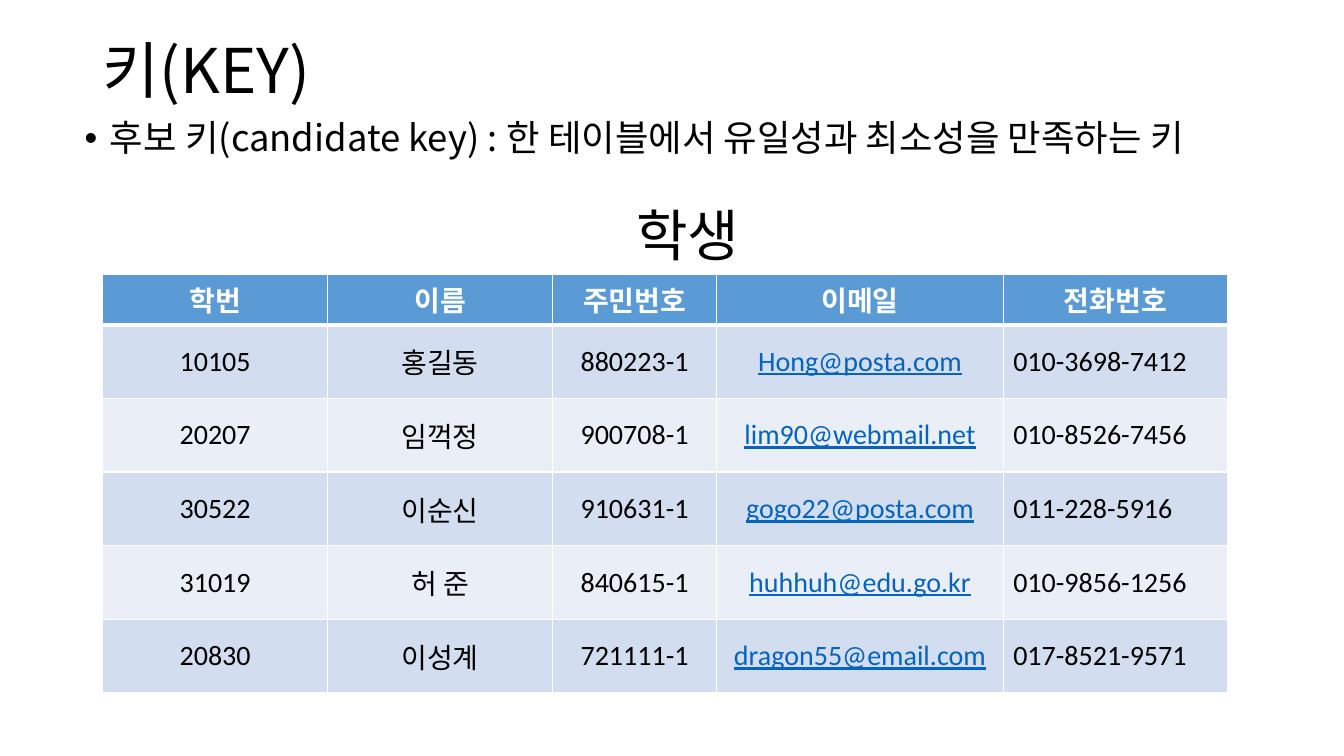
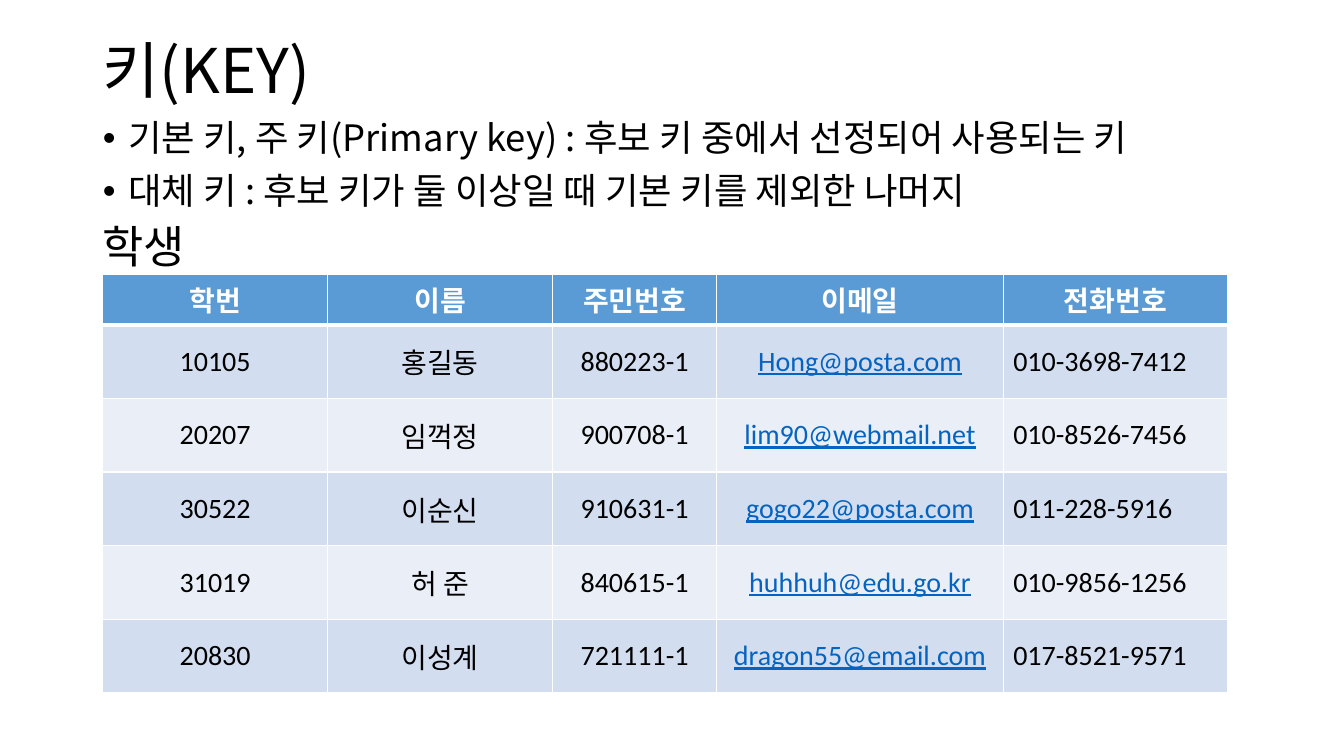
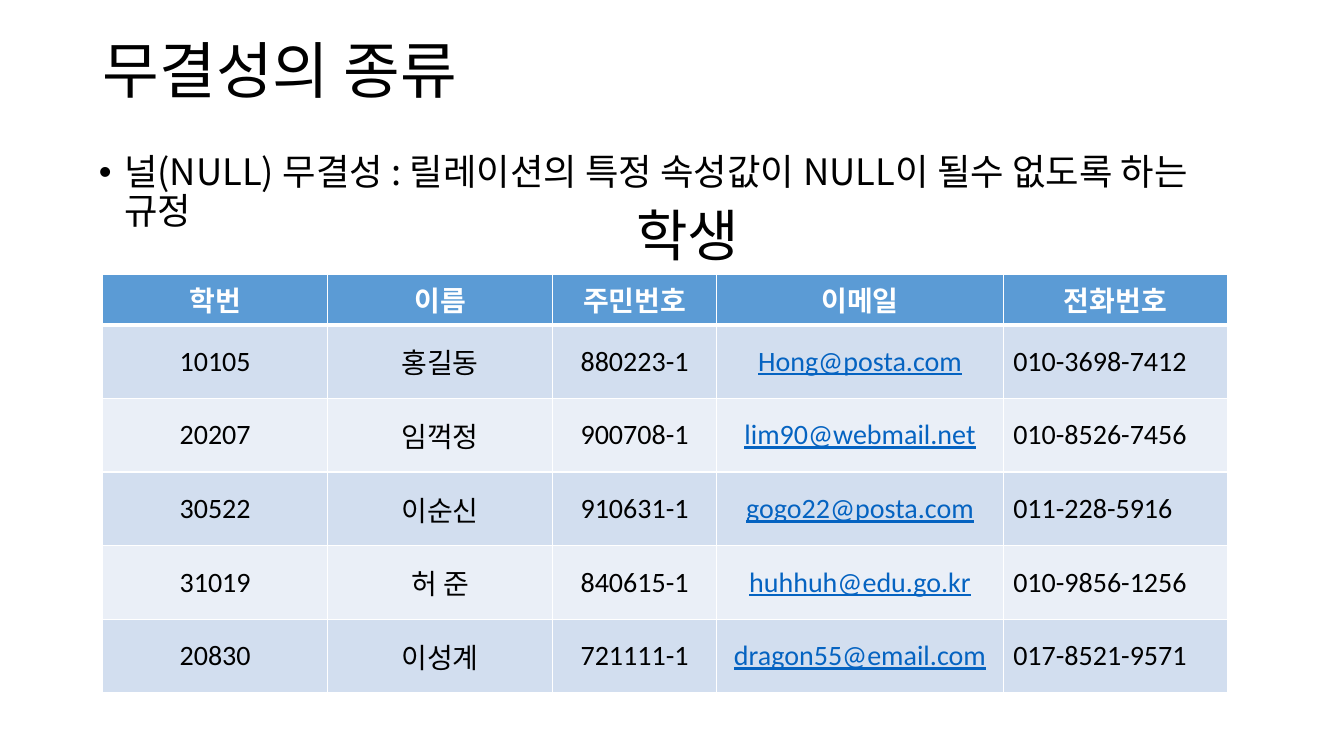
from lxml import etree
from pptx import Presentation
from pptx.dml.color import RGBColor
from pptx.enum.text import MSO_ANCHOR, MSO_AUTO_SIZE, PP_ALIGN
from pptx.oxml.ns import qn
from pptx.util import Inches, Pt

LEFT, CENTER = PP_ALIGN.LEFT, PP_ALIGN.CENTER
TOP, MIDDLE = MSO_ANCHOR.TOP, MSO_ANCHOR.MIDDLE
NO_FIT, GROW = MSO_AUTO_SIZE.NONE, MSO_AUTO_SIZE.SHAPE_TO_FIT_TEXT

COLORS = {
    "text": "000000",
    "white": "FFFFFF",
    "link": "0563C1",
    "header": "5B9BD5",
    "odd": "D2DEEF",
    "even": "EAEFF7",
}
KOREAN, LATIN = "Noto Sans CJK KR", "Calibri"

TITLE_BOX = (0.92, 0, 11.5, 1.45)
TABLE_BOX = (1.02, 2.72, 11.16, 4.09)
COLUMN_WIDTHS = (2.23, 2.23, 1.63, 2.84, 2.23)
ROW_HEIGHT = 0.73
LINK_COLUMN, PHONE_COLUMN = 3, 4
STUDENTS = (
    ("학번", "이름", "주민번호", "이메일", "전화번호"),
    ("10105", "홍길동", "880223-1", "Hong@posta.com", "010-3698-7412"),
    ("20207", "임꺽정", "900708-1", "lim90@webmail.net", "010-8526-7456"),
    ("30522", "이순신", "910631-1", "gogo22@posta.com", "011-228-5916"),
    ("31019", "허 준", "840615-1", "huhhuh@edu.go.kr", "010-9856-1256"),
    ("20830", "이성계", "721111-1", "dragon55@email.com", "017-8521-9571"),
)

PAGES = (
    {
        "title": "키(KEY)",
        "bullets": ("후보 키(candidate key) : 한 테이블에서 유일성과 최소성을 만족하는 키",),
        "body_box": (0.74, 1.14, 12.42, 4.76),
        "caption_box": (6.21, 1.94, 1.65, 0.77),
        "caption_size": 40,
    },
    {
        "title": "키(KEY)",
        "bullets": (
            "기본 키, 주 키(Primary key) : 후보 키 중에서 선정되어 사용되는 키",
            "대체 키 : 후보 키가 둘 이상일 때 기본 키를 제외한 나머지",
        ),
        "body_box": (0.92, 1.14, 11.5, 4.76),
        "caption_box": (0.92, 2.12, 1.1, 0.64),
        "caption_size": 32,
    },
    {
        "title": "무결성의 종류",
        "bullets": ("널(NULL) 무결성 : 릴레이션의 특정 속성값이 NULL이 될수 없도록 하는 규정",),
        "body_box": (0.88, 1.48, 11.5, 4.76),
        "caption_box": (6.21, 1.94, 1.65, 0.77),
        "caption_size": 40,
    },
)


def place(shape, box):
    """Move and size a shape to a box in inches."""
    shape.left, shape.top, shape.width, shape.height = map(Inches, box)


def write(para, text, size, font=KOREAN, color="text", align=LEFT, bold=False, underline=False):
    """Write one formatted run into a paragraph."""
    para.alignment = align
    span = para.add_run()
    span.text = text
    span.font.size = Pt(size)
    span.font.name = font
    span.font.bold = bold
    span.font.underline = underline
    span.font.color.rgb = RGBColor.from_string(COLORS[color])
    latin = span.font._element.find(qn("a:latin"))
    east_asian = etree.Element(qn("a:ea"), typeface=KOREAN)
    latin.addnext(east_asian)


def add_title(page, text):
    """Fill the title placeholder."""
    title = page.shapes.title
    place(title, TITLE_BOX)
    frame = title.text_frame
    frame.auto_size = NO_FIT
    frame.vertical_anchor = MIDDLE
    para = frame.paragraphs[0]
    para.line_spacing = 0.9
    write(para, text, 44)


def add_bullets(page, box, bullets):
    """Fill the body placeholder with a bulleted list."""
    body = page.placeholders[1]
    place(body, box)
    frame = body.text_frame
    frame.auto_size = NO_FIT
    frame.vertical_anchor = TOP
    for index, text in enumerate(bullets):
        para = frame.add_paragraph() if index else frame.paragraphs[0]
        para.line_spacing = 0.9
        para.space_before = Pt(10)
        write(para, text, 26)
        properties = para._p.get_or_add_pPr()
        properties.set("marL", str(Inches(0.25)))
        properties.set("indent", str(-Inches(0.25)))
        etree.SubElement(properties, qn("a:buFont"), typeface="Arial")
        etree.SubElement(properties, qn("a:buChar"), char="•")


def add_borders(cell, bottom_width=1, top_width=1):
    """Draw white borders around a cell, with widths in points."""
    properties = cell._tc.get_or_add_tcPr()
    widths = {"lnL": 1, "lnR": 1, "lnT": top_width, "lnB": bottom_width}
    for side, width in widths.items():
        line = etree.SubElement(properties, qn(f"a:{side}"), w=str(Pt(width)))
        fill = etree.SubElement(line, qn("a:solidFill"))
        etree.SubElement(fill, qn("a:srgbClr"), val=COLORS["white"])


def fill_cell(cell, text, row, column):
    """Format one cell by its row and column."""
    is_header = row == 0
    is_link = column == LINK_COLUMN and not is_header
    add_borders(cell, bottom_width=3 if is_header else 1, top_width=3 if row == 1 else 1)
    band = "header" if is_header else ("even", "odd")[row % 2]
    cell.fill.solid()
    cell.fill.fore_color.rgb = RGBColor.from_string(COLORS[band])
    cell.vertical_anchor = TOP if is_header else MIDDLE
    write(
        cell.text_frame.paragraphs[0],
        text,
        20,
        font=LATIN,
        color="white" if is_header else "link" if is_link else "text",
        align=LEFT if column == PHONE_COLUMN and not is_header else CENTER,
        bold=is_header,
        underline=is_link,
    )


def add_student_table(page, box):
    """Add the student table inside a box."""
    table = page.shapes.add_table(len(STUDENTS), len(COLUMN_WIDTHS), *map(Inches, box)).table
    for column, width in zip(table.columns, COLUMN_WIDTHS):
        column.width = Inches(width)
    header_height = box[3] - ROW_HEIGHT * (len(STUDENTS) - 1)
    for row, values in enumerate(STUDENTS):
        table.rows[row].height = Inches(ROW_HEIGHT if row else header_height)
        for column, text in enumerate(values):
            fill_cell(table.cell(row, column), text, row, column)


def add_caption(page, box, size):
    """Add the table name above the table."""
    frame = page.shapes.add_textbox(*map(Inches, box)).text_frame
    frame.word_wrap = True
    frame.auto_size = GROW
    write(frame.paragraphs[0], "학생", size)


def add_page(deck, content):
    """Add one slide with title, list, table and caption."""
    page = deck.slides.add_slide(deck.slide_layouts[1])
    add_title(page, content["title"])
    add_bullets(page, content["body_box"], content["bullets"])
    add_student_table(page, TABLE_BOX)
    add_caption(page, content["caption_box"], content["caption_size"])


def main():
    """Build and save the deck."""
    deck = Presentation()
    deck.slide_width, deck.slide_height = Inches(13.33), Inches(7.5)
    for content in PAGES:
        add_page(deck, content)
    deck.save("out.pptx")


if __name__ == "__main__":
    main()
